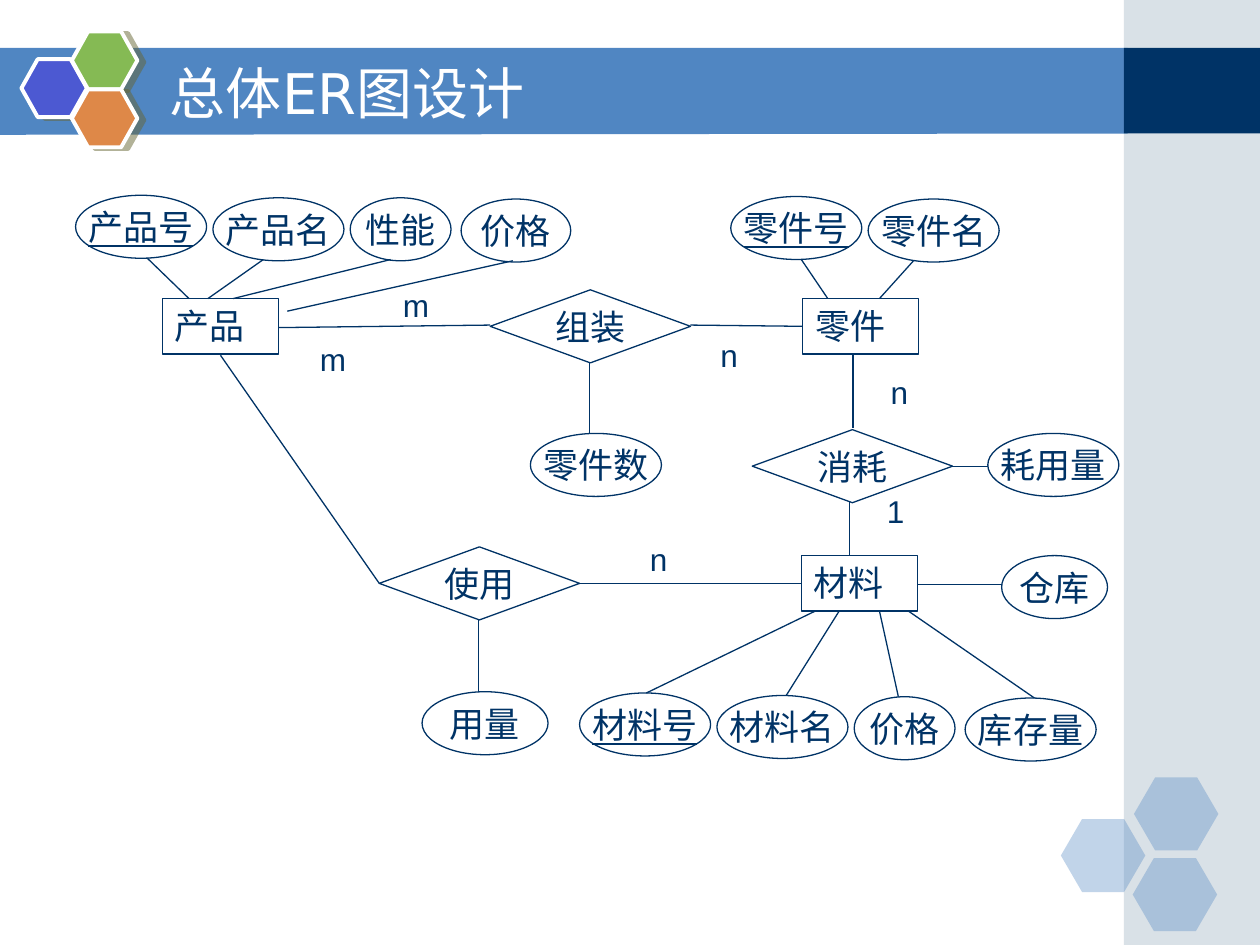
from lxml import etree
from pptx import Presentation
from pptx.dml.color import RGBColor
from pptx.enum.shapes import MSO_CONNECTOR, MSO_SHAPE
from pptx.enum.text import MSO_ANCHOR, PP_ALIGN
from pptx.oxml.ns import qn
from pptx.util import Pt

PX = 9144  # 100 px to the inch

RECTANGLE, OVAL = MSO_SHAPE.RECTANGLE, MSO_SHAPE.OVAL
HEXAGON, DECISION = MSO_SHAPE.HEXAGON, MSO_SHAPE.FLOWCHART_DECISION
STRAIGHT = MSO_CONNECTOR.STRAIGHT
TOP, MIDDLE = MSO_ANCHOR.TOP, MSO_ANCHOR.MIDDLE
LEFT, CENTER = PP_ALIGN.LEFT, PP_ALIGN.CENTER

NAVY = RGBColor(0x00, 0x33, 0x66)
BLUE = RGBColor(0x50, 0x86, 0xC2)
MIST = RGBColor(0xA0, 0xB5, 0xC4)
INDIGO = RGBColor(0x4C, 0x59, 0xD2)
GREEN = RGBColor(0x85, 0xBA, 0x54)
ORANGE = RGBColor(0xDE, 0x88, 0x48)
OLIVE = RGBColor(0x66, 0x66, 0x33)
WHITE = RGBColor(0xFF, 0xFF, 0xFF)

# Diagram parts: left and top are relative to the diagram box
ENTITIES = [("产品", 69, 87), ("零件", 577, 87), ("材料", 576, 291)]
RELATIONS = [("组装", 329, 80), ("消耗", 537, 191), ("使用", 241, 284)]
ATTRIBUTES = [  # label, left, top, width; three characters need 104
    ("产品号", 0, 5, 104), ("产品名", 109, 7, 104), ("性能", 218, 7, 80),
    ("价格", 306, 8, 87), ("零件号", 520, 6, 104), ("零件名", 629, 8, 104),
    ("零件数", 361, 194, 104), ("耗用量", 724, 194, 104), ("仓库", 735, 291, 84),
    ("用量", 275, 399, 100), ("材料号", 400, 400, 104), ("材料名", 509, 402, 104),
    ("价格", 618, 403, 80), ("库存量", 706, 404, 104),
]
KEYS = {"产品号", "零件号", "材料号"}
CARDINALITIES = [
    ("m", 250, 72), ("m", 184, 115), ("n", 502, 112),
    ("n", 637, 141), ("1", 634, 236), ("n", 446, 274),
]
RELATION_LINKS = [  # start x, start y, end x, end y
    (161, 110, 329, 108), (488, 108, 577, 109), (617, 132, 617, 190),
    (614, 248, 614, 291), (115, 132, 241, 313), (400, 313, 576, 313),
]
ATTRIBUTE_LINKS = [
    (90, 87, 57, 55), (149, 56, 105, 87), (250, 56, 125, 87), (168, 97, 347, 57),
    (597, 87, 576, 56), (665, 57, 638, 87), (408, 138, 408, 194),
    (696, 220, 724, 220), (668, 314, 735, 314), (320, 342, 320, 399),
    (587, 335, 453, 400), (606, 335, 564, 402), (638, 335, 653, 403),
    (661, 335, 761, 404),
]


def to_emu(*lengths):
    return [length * PX for length in lengths]


def set_alpha(color_element, percent):
    etree.SubElement(color_element, qn("a:alpha")).set("val", str(percent * 1000))


def paint(shape, fill=None, opacity=100, line=None, line_width=0.75):
    shape.shadow.inherit = False
    if fill is None:
        shape.fill.background()
    else:
        shape.fill.solid()
        shape.fill.fore_color.rgb = fill
        if opacity < 100:
            set_alpha(shape.fill._xPr.find(".//" + qn("a:srgbClr")), opacity)
    if line is None:
        shape.line.fill.background()
    else:
        shape.line.color.rgb = line
        shape.line.width = Pt(line_width)


def add_block(page, kind, box, **style):
    shape = page.shapes.add_shape(kind, *to_emu(*box))
    paint(shape, **style)
    return shape


def write(shape, text, size, color=NAVY, font="Arial", align=LEFT, anchor=TOP,
          wrap=True, underline=None):
    frame = shape.text_frame
    frame.text = text
    frame.word_wrap = wrap
    frame.vertical_anchor = anchor
    para = frame.paragraphs[0]
    para.alignment = align
    span = para.runs[0].font
    span.size = Pt(size)
    span.name = font
    span.color.rgb = color
    span.underline = underline


def add_link(page, start_x, start_y, end_x, end_y):
    link = page.shapes.add_connector(STRAIGHT, *to_emu(start_x, start_y, end_x, end_y))
    link.line.color.rgb = NAVY
    link.line.width = Pt(0.75)
    etree.SubElement(link._element.spPr, qn("a:effectLst"))


def add_hard_shadow(shape):
    effects = shape._element.spPr.find(qn("a:effectLst"))
    shadow = etree.SubElement(effects, qn("a:outerShdw"), blurRad="0",
                              dist=str(Pt(4.1)), dir=str(14 * 60000),
                              algn="ctr", rotWithShape="0")
    color = etree.SubElement(shadow, qn("a:srgbClr"), val=str(OLIVE))
    set_alpha(color, 50)


def draw_band(page, left, top, width, height):
    builder = page.shapes.build_freeform(left, top, scale=PX)
    builder.add_line_segments([(left + width, top), (left + width, top + height - 1),
                               (left, top + height)], close=True)
    paint(builder.convert_to_shape(), fill=BLUE)


def draw_side_panel(page, left, top, width, height):
    add_block(page, RECTANGLE, (left, top, width, height), fill=MIST, opacity=40)
    add_block(page, RECTANGLE, (left, top + 38, width, 68), fill=NAVY)


def draw_faded_hexagons(page, left, top):
    for x, y in [(0, 33), (58, 0), (57, 64)]:
        cell = add_block(page, HEXAGON, (left + x, top + y, 67, 58),
                         fill=BLUE, opacity=35)
        cell.adjustments[0] = 0.29


def draw_bright_hexagons(page, left, top):
    for x, y, color in [(0, 22, INDIGO), (40, 0, GREEN), (40, 46, ORANGE)]:
        cell = add_block(page, HEXAGON, (left + x, top + y, 52, 46),
                         fill=color, line=WHITE, line_width=2.25)
        cell.adjustments[0] = 0.28
        add_hard_shadow(cell)


def draw_title(page, left, top, width, height):
    box = page.shapes.add_textbox(*to_emu(left, top, width, height))
    write(box, "总体ER图设计", 32, WHITE, "DejaVu Sans", anchor=MIDDLE)


def draw_er_diagram(page, left, top):
    """Place entities, relations, attributes and their links from a top-left corner."""
    for label, x, y in ENTITIES:
        entity = add_block(page, RECTANGLE, (left + x, top + y, 92, 44), line=NAVY)
        write(entity, label, 20)
    for label, x, y in RELATIONS:
        relation = add_block(page, DECISION, (left + x, top + y, 159, 58), line=NAVY)
        write(relation, label, 20, align=CENTER, anchor=MIDDLE, wrap=False)
    for label, x, y, width in ATTRIBUTES:
        attribute = add_block(page, OVAL, (left + x, top + y, width, 50), line=NAVY)
        write(attribute, label, 20, align=CENTER, anchor=MIDDLE, wrap=False,
              underline=True if label in KEYS else None)
    for start_x, start_y, end_x, end_y in RELATION_LINKS + ATTRIBUTE_LINKS:
        add_link(page, left + start_x, top + start_y, left + end_x, top + end_y)
    for label, x, y in CARDINALITIES:
        box = page.shapes.add_textbox(*to_emu(left + x, top + y, 56, 40))
        write(box, label, 18)


def main():
    deck = Presentation()
    deck.slide_width, deck.slide_height = to_emu(1000, 750)
    page = deck.slides.add_slide(deck.slide_layouts[6])
    draw_band(page, -1, 38, 896, 69)
    draw_side_panel(page, 892, 0, 108, 750)
    draw_faded_hexagons(page, 842, 617)
    draw_bright_hexagons(page, 17, 25)
    draw_title(page, 125, 42, 733, 62)
    draw_er_diagram(page, 60, 150)
    deck.save("out.pptx")


if __name__ == "__main__":
    main()
